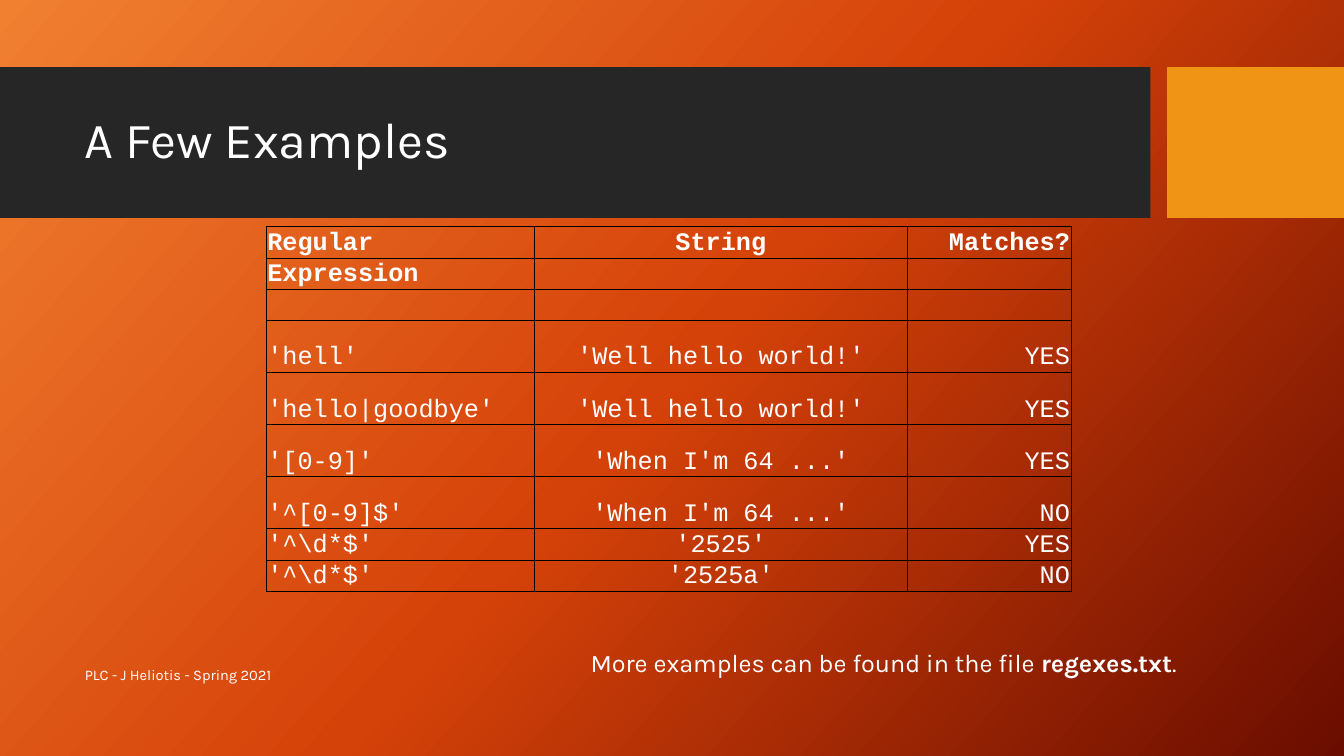
"""Builds the slide 'A Few Examples' with a table of regular expression matches."""
from lxml.etree import SubElement
from pptx import Presentation
from pptx.dml.color import RGBColor
from pptx.enum.shapes import MSO_SHAPE
from pptx.enum.text import MSO_ANCHOR, MSO_AUTO_SIZE, PP_ALIGN
from pptx.oxml import parse_xml
from pptx.oxml.ns import nsdecls, qn
from pptx.util import Pt

COLORS = {"bar": "262626", "accent": "F09415", "text": "FFFFFF", "border": "000000",
          "light": "F18031", "middle": "D54209", "dark": "6A0D00"}


def style(r, size, font, bold=False):
    r.font.size = Pt(size)
    r.font.name = font
    r.font.bold = bold
    r.font.color.rgb = RGBColor.from_string(COLORS["text"])


def add_text(left, top, width, height, parts, size, anchor, wrap=True):
    tf = s.shapes.add_textbox(Pt(left), Pt(top), Pt(width), Pt(height)).text_frame
    tf.word_wrap = wrap
    tf.vertical_anchor = anchor
    for text, bold in parts:
        r = tf.paragraphs[0].add_run()
        r.text = text
        style(r, size, "Karla", bold)
    return tf


prs = Presentation()
prs.slide_width, prs.slide_height = Pt(960), Pt(540)
s = prs.slides.add_slide(prs.slide_layouts[6])

s.background.fill.solid()
solid = next(s.element.iter(qn("a:solidFill")))
stops = "".join(f'<a:gs pos="{pos}"><a:srgbClr val="{COLORS[name]}"/></a:gs>'
                for pos, name in ((0, "light"), (50000, "middle"), (100000, "dark")))
solid.getparent().replace(solid, parse_xml(
    f'<a:gradFill {nsdecls("a")} rotWithShape="1"><a:gsLst>{stops}</a:gsLst>'
    f'<a:lin ang="{42 * 60000}" scaled="0"/></a:gradFill>'))

for left, width, name in ((0, 821.8, "bar"), (833.6, 126.4, "accent")):
    sp = s.shapes.add_shape(MSO_SHAPE.RECTANGLE, Pt(left), Pt(48), Pt(width), Pt(107.7))
    sp.shadow.inherit = False
    sp.fill.solid()
    sp.fill.fore_color.rgb = RGBColor.from_string(COLORS[name])
    sp.line.fill.background()

title = add_text(53.5, 59, 756.5, 85, [("A Few Examples", False)], 36, MSO_ANCHOR.MIDDLE)
title.paragraphs[0].line_spacing = 0.9
add_text(53.5, 467.5, 540.5, 28.8, [("PLC - J Heliotis - Spring 2021", False)], 10.5, MSO_ANCHOR.MIDDLE)

rows = [
    ("Regular", "String", "Matches?"),
    ("Expression", "", ""),
    ("", "", ""),
    ("'hell'", "'Well hello world!'", "YES"),
    ("'hello|goodbye'", "'Well hello world!'", "YES"),
    ("'[0-9]'", "'When I'm 64 ...'", "YES"),
    ("'^[0-9]$'", "'When I'm 64 ...'", "NO"),
    (r"'^\d*$'", "'2525'", "YES"),
    (r"'^\d*$'", "'2525a'", "NO"),
]
widths = (191.5, 266.4, 116.9)
heights = [20.5] * 3 + [37.2] * 4 + [20.5] * 2
aligns = (PP_ALIGN.LEFT, PP_ALIGN.CENTER, PP_ALIGN.RIGHT)
table = s.shapes.add_table(len(rows), len(widths), Pt(190.2), Pt(161.8),
                           Pt(sum(widths)), Pt(sum(heights))).table
table.first_row = table.horz_banding = False
for column, width in zip(table.columns, widths):
    column.width = Pt(width)
for i, (row, height) in enumerate(zip(rows, heights)):
    table.rows[i].height = Pt(height)
    for j, text in enumerate(row):
        cell = table.cell(i, j)
        cell.margin_left = cell.margin_right = cell.margin_top = Pt(0.75)
        cell.margin_bottom = 0
        cell.vertical_anchor = MSO_ANCHOR.BOTTOM
        for side in ("lnL", "lnR", "lnT", "lnB"):
            cell._tc.get_or_add_tcPr().append(parse_xml(
                f'<a:{side} {nsdecls("a")} w="{Pt(0.5)}"><a:solidFill>'
                f'<a:srgbClr val="{COLORS["border"]}"/></a:solidFill></a:{side}>'))
        cell.fill.background()
        p = cell.text_frame.paragraphs[0]
        p.alignment = aligns[j]
        if text:
            p.text = text
            style(p.runs[0], 18, "Courier New", i < 2)
        else:
            end = SubElement(p._p, qn("a:endParaRPr"), sz="1800")
            SubElement(end, qn("a:latin"), typeface="Courier New")

note = add_text(414.7, 458.6, 442.8, 29, [("More examples can be found in the file ", False),
                                          ("regexes.txt", True), (".", False)],
                18, MSO_ANCHOR.TOP, wrap=False)
note.auto_size = MSO_AUTO_SIZE.SHAPE_TO_FIT_TEXT

prs.save("out.pptx")
